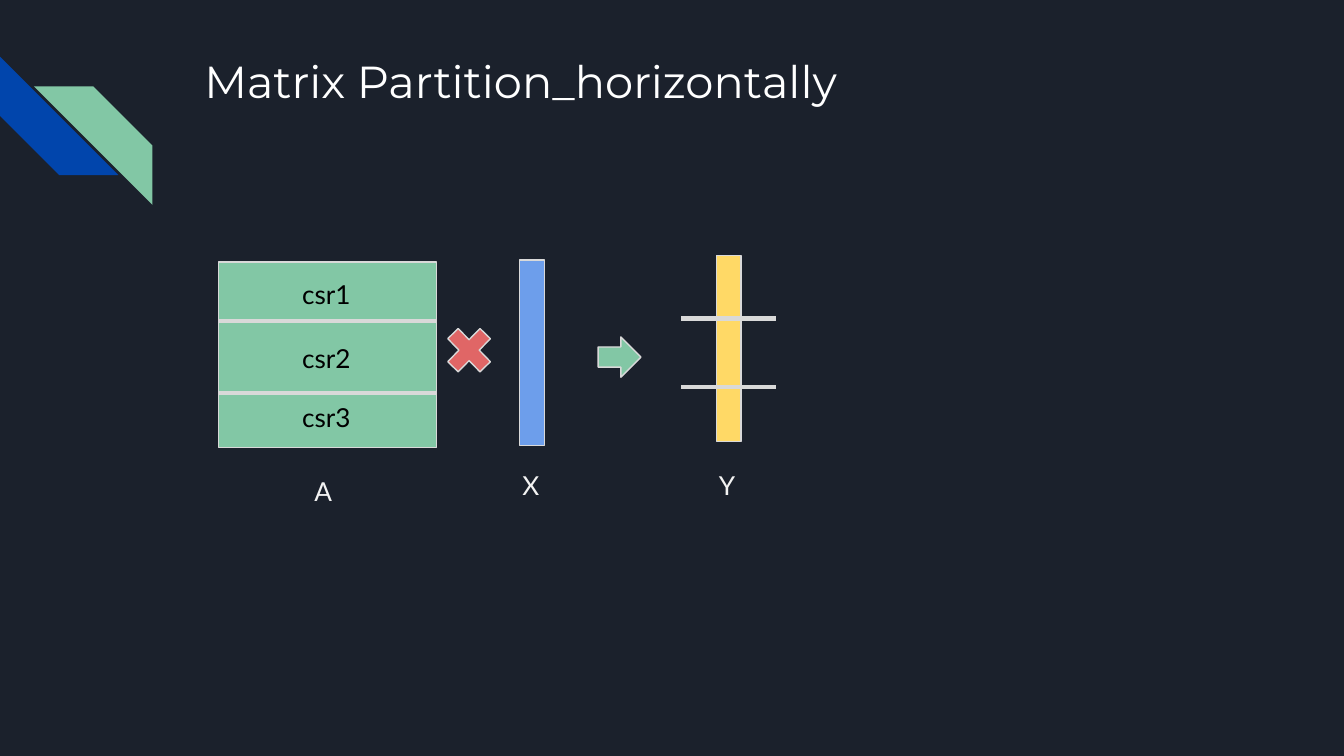
from dataclasses import dataclass

from lxml import etree
from pptx import Presentation
from pptx import util as u
from pptx.dml import color
from pptx.enum import shapes, text
from pptx.oxml import ns

NIGHT, GREEN, BLUE, GREY = "1B212C", "82C7A5", "0145AC", "D9D9D9"
BLACK, WHITE, PALE = "000000", "FFFFFF", "F3F3F3"
KIND = shapes.MSO_SHAPE


@dataclass
class Block:
    """A filled preset shape, in points."""
    kind: int
    x: float
    y: float
    w: float
    h: float
    fill: str
    edge: str = GREY
    turn: float = 0
    adj: tuple = ()


@dataclass
class Label:
    """A text box, in points."""
    words: str
    x: float
    y: float
    w: float
    h: float = 31.5
    ink: str = BLACK
    font: str = "Lato"
    size: float = 14


@dataclass
class Rule:
    """A level dividing line, in points."""
    x: float
    y: float
    w: float


def rgb(code: str) -> color.RGBColor:
    """Turn a hex string into a colour."""
    return color.RGBColor.from_string(code)


def apply(item, form: dict) -> None:
    """Set each attribute named in the format."""
    for name, value in form.items():
        setattr(item, name, value)


def draw_block(slide, b: Block) -> None:
    """Draw one preset shape."""
    shape = slide.shapes.add_shape(b.kind, *map(u.Pt, (b.x, b.y, b.w, b.h)))
    shape.shadow.inherit = False
    shape.rotation = b.turn
    for i, value in enumerate(b.adj):
        shape.adjustments[i] = value
    shape.fill.solid()
    shape.fill.fore_color.rgb = rgb(b.fill)
    if b.edge:
        shape.line.color.rgb = rgb(b.edge)
        shape.line.width = u.Pt(0.75)
    else:
        shape.line.fill.background()


def draw_rule(slide, r: Rule) -> None:
    """Draw one dividing line without a shadow."""
    line = slide.shapes.add_connector(
        shapes.MSO_CONNECTOR.STRAIGHT, *map(u.Pt, (r.x, r.y, r.x + r.w, r.y)))
    line.line.color.rgb = rgb(GREY)
    line.line.width = u.Pt(2.25)
    props = line._element.find(ns.qn("p:spPr"))
    etree.SubElement(props, ns.qn("a:effectLst"))


def draw_label(slide, t: Label) -> None:
    """Draw one line of text in a box."""
    box = slide.shapes.add_textbox(*map(u.Pt, (t.x, t.y, t.w, t.h)))
    frame = box.text_frame
    pad = u.Pt(7.2)
    apply(frame, {"word_wrap": True, "margin_left": pad, "margin_right": pad,
                  "margin_top": pad, "margin_bottom": pad,
                  "vertical_anchor": text.MSO_ANCHOR.TOP})
    run = frame.paragraphs[0].add_run()
    run.text = t.words
    apply(run.font, {"name": t.font, "size": u.Pt(t.size)})
    run.font.color.rgb = rgb(t.ink)


def main() -> None:
    """Build the slide and save it."""
    deck = Presentation()
    apply(deck, {"slide_width": u.Pt(720), "slide_height": u.Pt(405)})
    slide = deck.slides.add_slide(deck.slide_layouts[6])
    back = slide.background.fill
    back.solid()
    back.fore_color.rgb = rgb(NIGHT)

    bar_w, bar_h, side = 13.2, 99.4, 63.4
    items = [
        Block(KIND.DIAGONAL_STRIPE, 0, 30.4, side, side, BLUE, "", 270, (0.5,)),
        Block(KIND.DIAGONAL_STRIPE, 18.2, 46.3, side, side, GREEN, "", 90, (0.5,)),
        Block(KIND.RECTANGLE, 117.2, 140.4, 116.6, bar_h, GREEN),
        *(Rule(117.4, y, 116) for y in (172, 210.4)),
        *(Label(f"csr{i}", 154.8, y, 43.2)
          for i, y in enumerate((141.8, 176, 208), 1)),
        Block(KIND.RECTANGLE, 278.4, 139.3, bar_w, bar_h, "6D9EEB"),
        Block(KIND.MATH_MULTIPLY, 234.7, 170.5, 33.2, 34.2, "E06666",
              adj=(0.235,)),
        Block(KIND.RIGHT_ARROW, 320.4, 180.5, 23, 21.6, GREEN),
        Label("Matrix Partition_horizontally", 102.4, 21.6, 554.4, 72,
              WHITE, "Montserrat", 24),
        Block(KIND.RECTANGLE, 383.8, 137, bar_w, bar_h, "FFD966"),
        *(Rule(365, y, 50.6) for y in (170.6, 207.2)),
        Label("A", 161.3, 247.5, 24, ink=PALE),
        Label("X", 272.8, 244.2, 28, ink=PALE),
        Label("Y", 378, 244.2, 28, ink=PALE),
    ]
    pens = {Block: draw_block, Rule: draw_rule, Label: draw_label}
    for item in items:
        pens[type(item)](slide, item)
    deck.save("out.pptx")


main()
